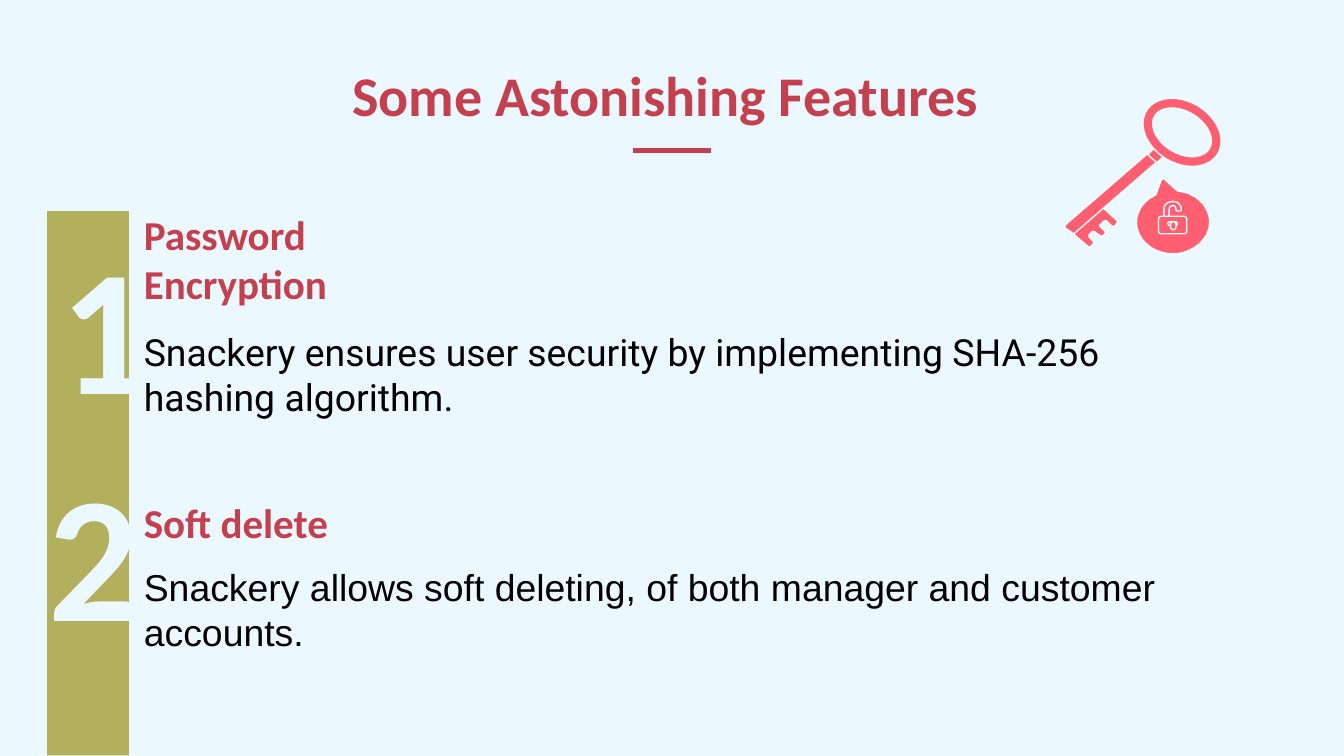
from lxml import etree
from pptx import Presentation
from pptx.dml.color import RGBColor
from pptx.enum.shapes import MSO_CONNECTOR as Connector, MSO_SHAPE as Shape
from pptx.enum.text import MSO_ANCHOR as Anchor, MSO_AUTO_SIZE as AutoSize, PP_ALIGN as Align
from pptx.oxml.ns import qn
from pptx.util import Inches, Pt

PAPER = RGBColor(0xEC, 0xF8, 0xFF)
RED = RGBColor(0xC5, 0x40, 0x4E)
OLIVE = RGBColor(0xB3, 0xB0, 0x5D)
PINK = RGBColor(0xFF, 0x5F, 0x70)
BLACK = RGBColor(0, 0, 0)
WHITE = RGBColor(0xFF, 0xFF, 0xFF)

FEATURES = [
    ("1", "Password Encryption", "Snackery ensures user security by implementing SHA-256 hashing algorithm.", "Roboto"),
    ("2", "Soft delete", "Snackery allows soft deleting, of both manager and customer accounts.", "Arial"),
]

KEY_BIT = [(26, 79), (3, 98), (17, 110), (18, 111, 19, 111, 20, 110), (21, 109),
           (22, 108, 22, 107, 21, 106), (19, 104), (18, 103, 18, 102, 19, 101),
           (20, 100), (21, 99, 22, 99, 23, 100), (26, 102), (27, 103, 28, 103, 29, 102),
           (30, 101), (31, 100, 31, 99, 30, 99), (27, 96), (26, 95, 26, 94, 27, 94),
           (29, 92), (30, 91, 31, 91, 32, 92), (35, 95), (36, 95.5, 37, 95.5, 38, 95),
           (39, 93), (40, 92, 40, 92, 39, 91)]
BUBBLE = [(74, 60), (73, 60, 72, 61, 72, 61), (68, 72), (57, 77, 52, 87, 54, 97),
          (57, 109, 69, 116, 81, 116), (88, 116, 95, 113, 101, 108),
          (116, 94, 106, 71, 84, 69), (75, 61)]
SHAFT = [(68, 36), (1, 94), (0, 95, 0, 96, 1, 97), (7, 101), (75, 42)]
COLLAR = [(67, 37), (62, 42), (64, 44, 66, 46, 69, 48), (74, 43)]
SHACKLE = [(81, 77), (77, 77, 74, 79, 74, 83), (74, 88), (74, 89, 75, 89, 76, 89),
           (77, 89, 78, 89, 78, 88), (78, 83), (78, 81, 79, 80, 81, 80),
           (82, 80, 83, 81, 83, 83), (83, 84, 84, 84, 85, 84),
           (86, 84, 87, 84, 87, 83), (87, 79, 84, 77, 81, 77)]


def place(box, left, top, width, height):
    """Move a shape to the given box in inches."""
    box.left, box.top, box.width, box.height = map(Inches, (left, top, width, height))


def write(box, text, font, size, color, bold=False, align=Align.LEFT, anchor=Anchor.TOP, inset=0.1):
    """Fill a box with one formatted paragraph."""
    frame = box.text_frame
    frame.text = text
    frame.word_wrap = True
    frame.auto_size = AutoSize.NONE
    frame.vertical_anchor = anchor
    frame.margin_left = frame.margin_right = Inches(0.1)
    frame.margin_top = Inches(inset)
    frame.margin_bottom = Inches(min(inset, 0.1))
    para = frame.paragraphs[0]
    para.alignment = align
    para.space_before = Pt(0)
    settings = para._p.get_or_add_pPr()
    settings.set("marL", "0")
    settings.set("indent", "0")
    etree.SubElement(settings, qn("a:buNone"))
    span = para.runs[0].font
    span.name, span.size, span.bold = font, Pt(size), bold
    span.color.rgb = color


def add_header(page, left, top, width):
    """Place the centred title and the short rule under it."""
    title = page.shapes.title
    place(title, left, top, width, 0.83)
    write(title, "Some Astonishing Features ", "Calibri", 30, RED, True, Align.CENTER, Anchor.BOTTOM)
    middle, level = left + width / 2, top + 0.9
    rule = page.shapes.add_connector(
        Connector.STRAIGHT, *map(Inches, (middle - 0.29, level, middle + 0.29, level)))
    rule.line.color.rgb = RED
    rule.line.width = Pt(3)
    etree.SubElement(rule._element.spPr, qn("a:effectLst"))


def add_number_bar(page, left, top, height):
    """Draw the coloured bar behind the numbers."""
    bar = page.shapes.add_shape(Shape.RECTANGLE, *map(Inches, (left, top, 0.61, height)))
    bar.shadow.inherit = False
    bar.fill.solid()
    bar.fill.fore_color.rgb = OLIVE
    bar.line.fill.background()


def add_feature(page, feature, slots, number_box, heading_box, body_box, body_inset):
    """Place a number, its heading and its description."""
    number, heading, body, font = feature
    digit = page.shapes.add_textbox(*map(Inches, number_box))
    write(digit, number, "Calibri", 96, PAPER, True, Align.RIGHT, Anchor.MIDDLE)
    heading_slot, body_slot = (page.placeholders[slot] for slot in slots)
    place(heading_slot, *heading_box)
    write(heading_slot, heading, "Calibri", 22, RED, True, anchor=Anchor.BOTTOM)
    place(body_slot, *body_box)
    write(body_slot, body, font, 20, BLACK, inset=body_inset)


def paint(part):
    """Give an icon part its fill and hairline."""
    part.shadow.inherit = False
    part.fill.solid()
    part.fill.fore_color.rgb = PINK
    part.line.color.rgb = WHITE
    part.line.width = Pt(0)


def trace(steps, count=8):
    """Turn points and cubic curves into a list of points."""
    points = [steps[0]]
    for step in steps[1:]:
        if len(step) == 2:
            points.append(step)
            continue
        knots = [points[-1], step[:2], step[2:4], step[4:]]
        for i in range(1, count + 1):
            t = i / count
            weights = ((1 - t) ** 3, 3 * t * (1 - t) ** 2, 3 * t * t * (1 - t), t ** 3)
            points.append(tuple(sum(w * knot[axis] for w, knot in zip(weights, knots))
                                for axis in (0, 1)))
    return points


def add_key_icon(page, left, top):
    """Draw a key and a bubble with a padlock, in hundredths of an inch."""
    def add_outline(steps):
        """Draw one closed outline."""
        points = [(Inches(left + x / 100), Inches(top + y / 100)) for x, y in trace(steps)]
        builder = page.shapes.build_freeform(*points[0])
        builder.add_line_segments(points[1:], close=True)
        paint(builder.convert_to_shape())

    def add_preset(kind, x, y, width, height, adjustment, turn=0):
        """Draw one preset part."""
        part = page.shapes.add_shape(
            kind, *map(Inches, (left + x / 100, top + y / 100, width / 100, height / 100)))
        part.adjustments[0] = adjustment
        part.rotation = turn
        paint(part)

    for steps in (KEY_BIT, BUBBLE, SHACKLE):
        add_outline(steps)
    add_preset(Shape.ROUNDED_RECTANGLE, 70, 88, 21, 13, 0.15)
    for steps in (SHAFT, COLLAR):
        add_outline(steps)
    add_preset(Shape.DONUT, 56.5, 2.5, 62, 46, 0.16, 31)
    add_preset(Shape.ROUNDED_RECTANGLE, 77, 92, 7, 3, 0.5)
    add_preset(Shape.ROUNDED_RECTANGLE, 79, 92, 4, 6, 0.5)


def main():
    """Build the slide and save it."""
    deck = Presentation()
    deck.slide_width = Inches(10)
    deck.slide_height = deck.slide_width * 9 // 16
    page = deck.slides.add_slide(deck.slide_layouts.get_by_name("Comparison"))
    page.background.fill.solid()
    page.background.fill.fore_color.rgb = PAPER
    for mark in list(page.placeholders):
        if mark.placeholder_format.idx >= 10:
            mark._element.getparent().remove(mark._element)
    add_header(page, 0.87, 0.22, 8.26)
    add_number_bar(page, 0.35, 1.57, 4.05)
    add_feature(page, FEATURES[0], (1, 2), (0.35, 1.57, 0.61, 1.67),
                (0.97, 1.92, 2.65, 0.47), (0.97, 2.4, 8.26, 1), 0.05)
    add_feature(page, FEATURES[1], (3, 4), (0.26, 3.26, 0.72, 1.67),
                (0.97, 3.68, 2.65, 0.49), (0.97, 3.92, 8.26, 1.23), 0.28)
    add_key_icon(page, 7.92, 0.73)
    deck.save("out.pptx")


if __name__ == "__main__":
    main()
